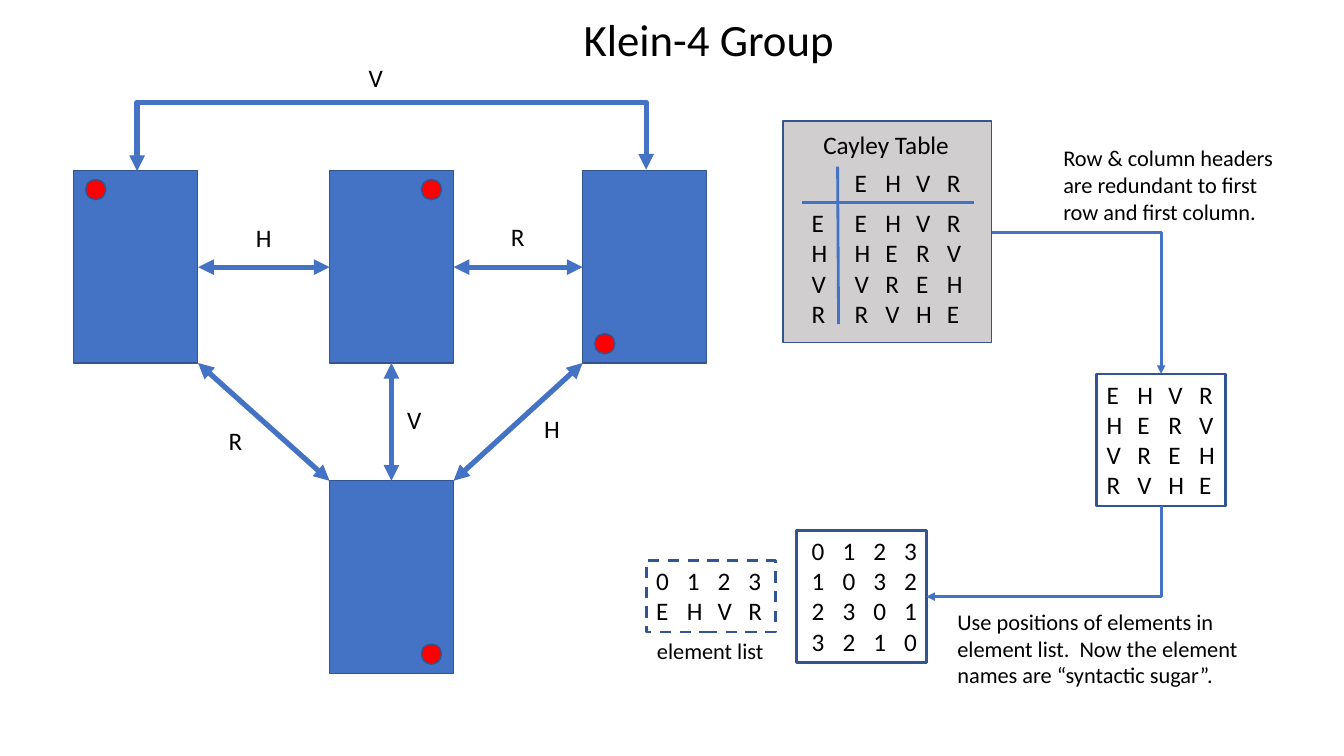
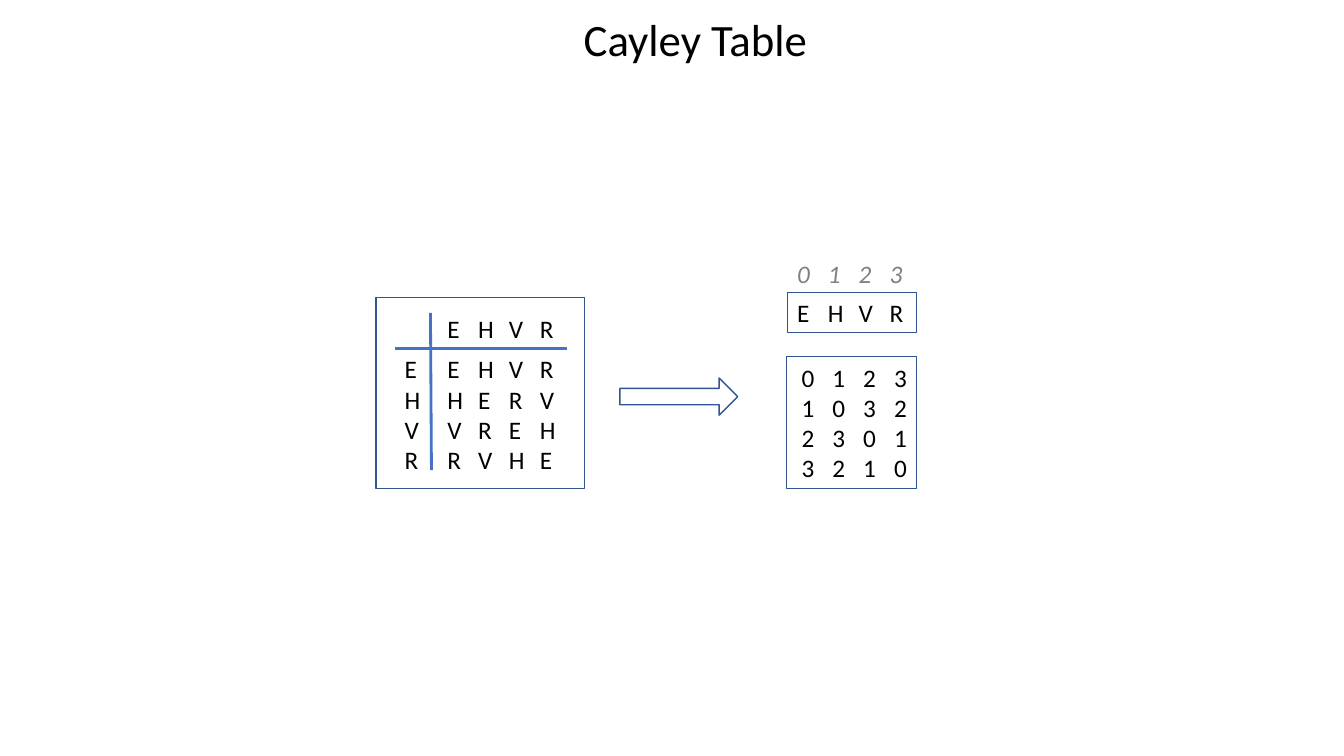
import pptx
import pptx.util
import pptx.dml.color
import pptx.enum.dml
import pptx.enum.shapes
import pptx.enum.text
import pptx.oxml.ns
from lxml import etree

Pt = pptx.util.Pt
qn = pptx.oxml.ns.qn
KINDS = pptx.enum.shapes.MSO_SHAPE
CONNECTORS = pptx.enum.shapes.MSO_CONNECTOR

# Content
TITLES = ("Klein-4 Group", "Cayley Table")
ELEMENTS = "EHVR"
PRODUCTS = ("EHVR", "HERV", "VREH", "RVHE")
POSITIONS = ("0123", "1032", "2301", "3210")
INDEXES = "0123"
REDUNDANT = "Row & column headers are redundant to first row and first column."
SUGAR = ("Use positions of elements in element list.  "
         "Now the element names are \u201csyntactic sugar\u201d.")

# Cards: left, top, dot on the right, dot at the bottom
CARDS = ((235.4, 121.7, True, False), (416.2, 121.7, False, True),
         (235.4, 343.4, True, True), (52.6, 121.7, False, False))
# Moves between cards: label, label left and top, start, end
MOVES = (("R", 357.8, 154.8, (324, 190.8), (416.2, 190.8)),
         ("V", 283.7, 285.1, (279.6, 259.3), (279.6, 343.4)),
         ("H", 175.7, 155.5, (235.4, 190.8), (141.5, 190.8)),
         ("R", 156.2, 300.2, (141.5, 259.3), (235.4, 343.4)),
         ("H", 381.6, 291.6, (416.2, 259.3), (324, 343.4)))

# Shared look
COLOURS = {"card": "4472C4", "edge": "325491", "dot": "FF0000",
           "panel": "D0CECE", "ink": "000000", "faint": "808080"}
FONT = "Calibri"
COLUMN = 22
GRID_W, GRID_H, ROW_H = 92.2, 94.3, 28.8
CARD_W, CARD_H, DOT = 88.6, 137.5, 14.4
DOT_X, DOT_Y = 8.6, 6.5


def rgb(name):
    return pptx.dml.color.RGBColor.from_string(COLOURS[name])


def write(holder, lines, size=18, colour="ink", italic=False, inset=7.2):
    """Fill a holder; each line is a string or a sequence of tabbed cells."""
    frame = holder.text_frame
    frame.word_wrap = True
    frame.auto_size = pptx.enum.text.MSO_AUTO_SIZE.NONE
    frame.vertical_anchor = pptx.enum.text.MSO_ANCHOR.TOP
    frame.margin_left, frame.margin_right = Pt(inset), Pt(0)
    frame.margin_top = frame.margin_bottom = Pt(3.6)
    for number, line in enumerate(lines):
        paragraph = frame.add_paragraph() if number else frame.paragraphs[0]
        paragraph.alignment = pptx.enum.text.PP_ALIGN.LEFT
        if not isinstance(line, str):
            stops = etree.SubElement(paragraph._p.get_or_add_pPr(), qn("a:tabLst"))
            for column in range(1, len(line)):
                etree.SubElement(stops, qn("a:tab"), pos=str(Pt(column * COLUMN)), algn="l")
            line = "\t".join(line)
        run = paragraph.add_run()
        run.text = line
        run.font.name, run.font.size = FONT, Pt(size)
        run.font.italic = italic
        run.font.color.rgb = rgb(colour)


def label(slide, lines, left, top, width, height=ROW_H, **text_format):
    holder = slide.shapes.add_textbox(Pt(left), Pt(top), Pt(width), Pt(height))
    write(holder, lines, **text_format)


def outline(slide, left, top, width, height, kind=KINDS.RECTANGLE,
            fill=None, weight=1, dashed=False):
    shape = slide.shapes.add_shape(kind, Pt(left), Pt(top), Pt(width), Pt(height))
    shape.shadow.inherit = False
    if fill:
        shape.fill.solid()
        shape.fill.fore_color.rgb = rgb(fill)
    else:
        shape.fill.background()
    shape.line.color.rgb = rgb("edge")
    shape.line.width = Pt(weight)
    if dashed:
        shape.line.dash_style = pptx.enum.dml.MSO_LINE.DASH
    return shape


def connect(slide, start, end, weight=2, heads=(), kind=CONNECTORS.STRAIGHT):
    link = slide.shapes.add_connector(kind, *(Pt(v) for v in (*start, *end)))
    link.line.color.rgb = rgb("card")
    link.line.width = Pt(weight)
    for head in heads:
        etree.SubElement(link.line._get_or_add_ln(), qn("a:" + head), type="triangle")
    etree.SubElement(link._element.spPr, qn("a:effectLst"))
    return link


def elbow(slide, start, end, turned=False, rise=None, **line_format):
    """One bend, or a bracket of the given rise; turned leaves vertically."""
    ends = [start, end]
    if turned:
        mid_x, mid_y = ((a + b) / 2 for a, b in zip(start, end))
        ends = [(mid_x + y - mid_y, mid_y - x + mid_x) for x, y in ends]
    link = connect(slide, *ends, kind=CONNECTORS.ELBOW, **line_format)
    properties = link._element.spPr
    if turned:
        properties.find(qn("a:xfrm")).set("rot", str(90 * 60000))
    geometry = properties.find(qn("a:prstGeom"))
    if rise is None:
        geometry.set("prst", "bentConnector2")
    else:
        ratio = round(rise / abs(ends[1][0] - ends[0][0]) * 100000)
        etree.SubElement(geometry.find(qn("a:avLst")), qn("a:gd"),
                         name="adj1", fmla=f"val {ratio}")


def cayley(slide, left, top, height, rule, fill=None):
    """Panel with row and column headers; rule is the height of the header line."""
    outline(slide, left, top, 149, height, fill=fill)
    grid, side = left + 43.9, left + 13.3
    label(slide, [tuple(row) for row in PRODUCTS], grid, rule, GRID_W, GRID_H)
    label(slide, [tuple(ELEMENTS)], grid, rule - ROW_H, GRID_W)
    label(slide, list(ELEMENTS), side, rule, 26, GRID_H)
    connect(slide, (left + 136.1, rule), (side, rule))
    connect(slide, (left + 39.6, rule + 86.8), (left + 38.9, rule - 25.6))


def position_grid(slide, left, top, weight):
    grid = outline(slide, left, top, 92.9, GRID_H, weight=weight)
    write(grid, [tuple(row) for row in POSITIONS], inset=11)


def titled_slide(title):
    slide = deck.slides.add_slide(deck.slide_layouts[5])
    heading = slide.shapes.title
    heading.left, heading.top, heading.width, heading.height = map(Pt, (409.7, 5, 200, 46))
    write(heading, [title], size=32)
    return slide


deck = pptx.Presentation()
deck.slide_width, deck.slide_height = Pt(960), Pt(540)
BOTH, LAST = ("headEnd", "tailEnd"), ("tailEnd",)

# Klein-4 group: cards and the moves between them
klein = titled_slide(TITLES[0])
for left, top, dot_right, dot_low in CARDS:
    outline(klein, left, top, CARD_W, CARD_H, fill="card")
    dot_left = left + (CARD_W - DOT - DOT_X if dot_right else DOT_X)
    dot_top = top + (CARD_H - DOT - DOT_Y if dot_low else DOT_Y)
    outline(klein, dot_left, dot_top, DOT, DOT, kind=KINDS.OVAL, fill="dot")
for move, left, top, start, end in MOVES:
    connect(klein, start, end, weight=3.75, heads=BOTH)
    label(klein, [move], left, top, 26)
elbow(klein, (97.9, 122.2), (461.5, 121.2), turned=True, rise=49.6, weight=3.75, heads=BOTH)
label(klein, ["V"], 256.3, 41, 26)

# From the Cayley table to positions in the element list
products = outline(klein, 783.4, 267.1, GRID_W, GRID_H, weight=2)
write(products, [tuple(row) for row in PRODUCTS])
position_grid(klein, 568.8, 378.7, weight=2)
element_list = outline(klein, 461.5, 400.3, GRID_W, 51.1, weight=2, dashed=True)
write(element_list, [tuple(INDEXES), tuple(ELEMENTS)])
cayley(klein, 559.4, 86.4, 158.4, rule=144.7, fill="panel")
label(klein, [TITLES[1]], 581, 88.6, 105)
elbow(klein, (708.5, 166.3), (829.4, 267.1), heads=LAST)
elbow(klein, (829.4, 361.4), (661.7, 426.2), turned=True, heads=LAST)
label(klein, [REDUNDANT], 752.4, 99.4, 169.2, 65.5, size=16)
label(klein, [SUGAR], 676.8, 430.6, 230, 65.5, size=16)
label(klein, ["element list"], 462.2, 451.4, 91.4, 26.6, size=16)

# Cayley table reduced to element list and positions
reduced = titled_slide(TITLES[1])
position_grid(reduced, 561.6, 254.9, weight=0.75)
elements = outline(reduced, 562.3, 208.8, GRID_W, ROW_H, weight=0.75)
write(elements, [tuple(ELEMENTS)])
cayley(reduced, 268.6, 212.4, 136.8, rule=249.1)
label(reduced, [tuple(INDEXES)], 562.3, 180.7, GRID_W, colour="faint", italic=True)
arrow = outline(reduced, 442.8, 270, 84.2, 26.6, kind=KINDS.RIGHT_ARROW)
arrow.adjustments[0] = 0.44

deck.save("out.pptx")
